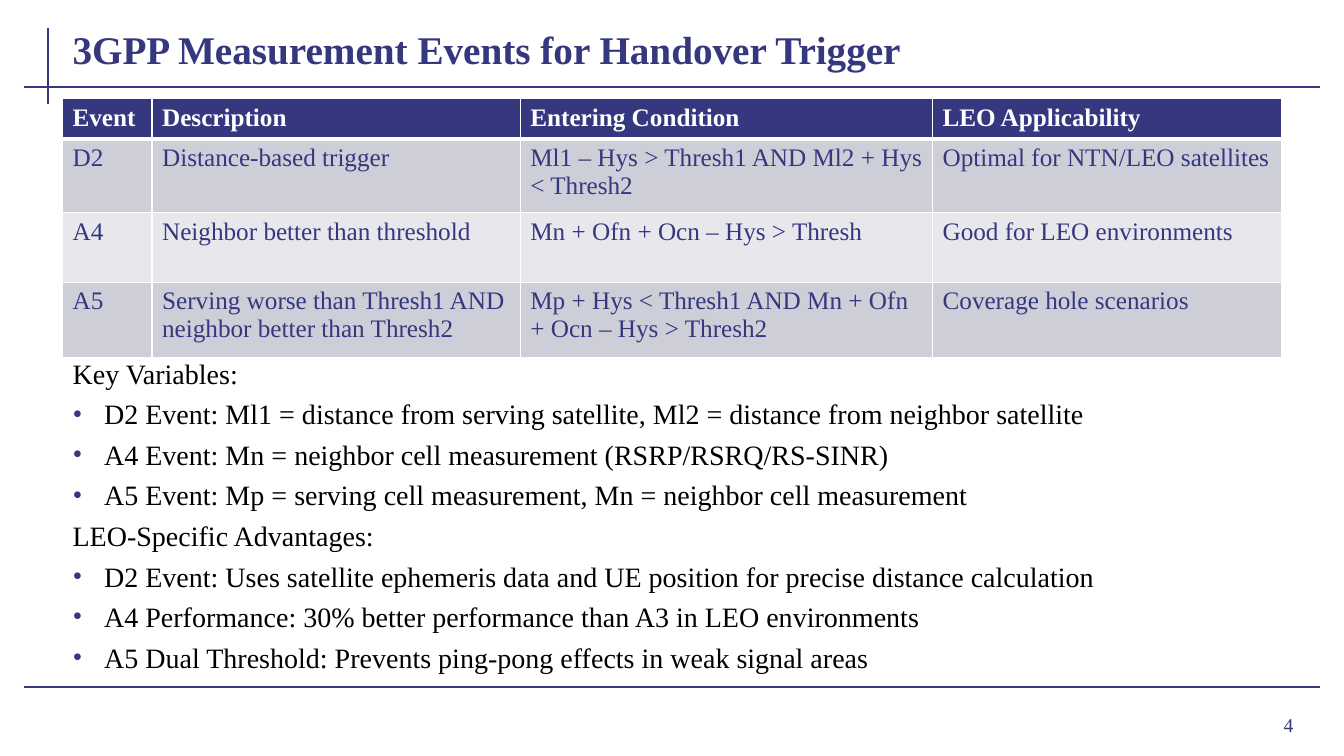
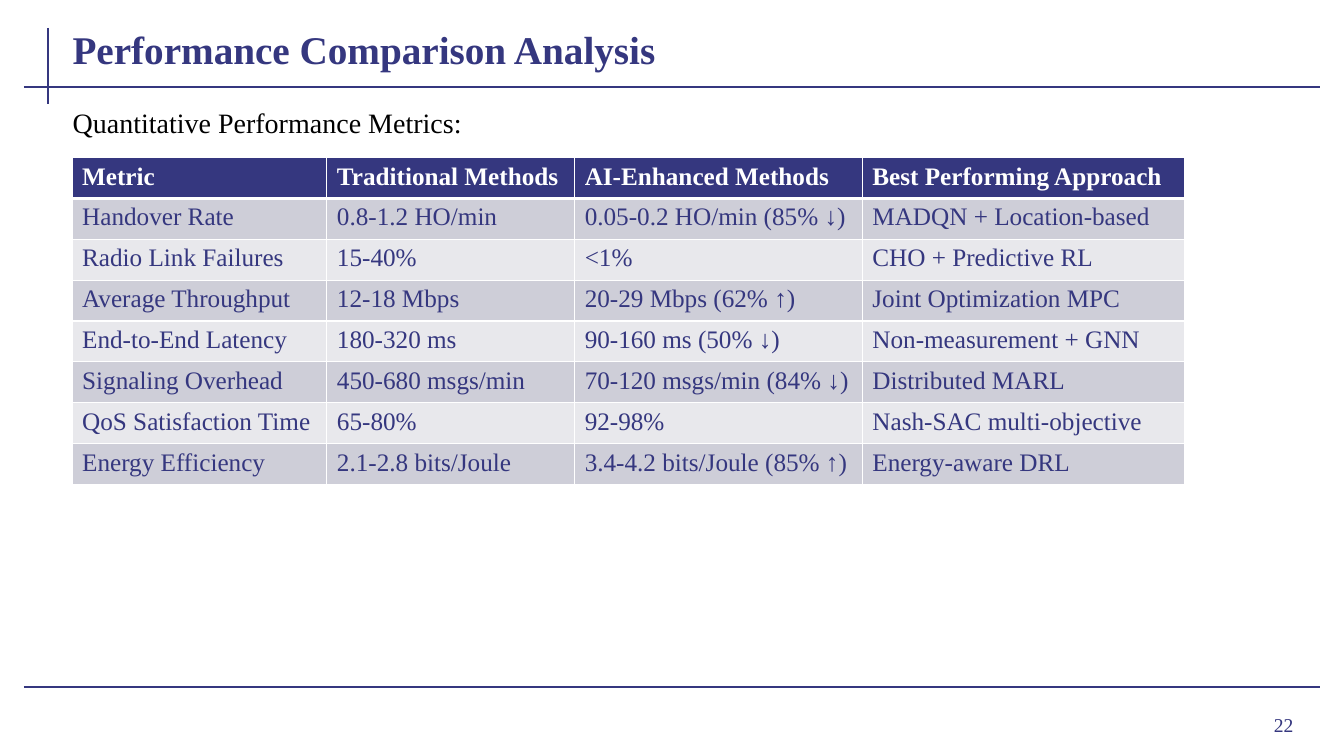
"""Builds two slides on handover events and performance in a ruled navy template."""
from lxml import etree
from pptx import Presentation
from pptx.dml.color import RGBColor
from pptx.enum import shapes, text
from pptx.oxml import ns
from pptx.util import Pt

COLORS = {"navy": "35377F", "white": "FFFFFF", "black": "000000",
          "band_dark": "CECED8", "band_light": "E8E8EC"}
FONT = "Times New Roman"
LEFT, WIDTH = 44.64, 899.28
BULLET_INDENT = 22.5
FRAME_LINES = [(34, 20, 34, 74), (17, 62, 943, 62), (17, 491, 943, 491)]

EVENT_ROWS = [
    ("Event", "Description", "Entering Condition", "LEO Applicability"),
    ("D2", "Distance-based trigger", "Ml1 – Hys > Thresh1 AND Ml2 + Hys < Thresh2",
     "Optimal for NTN/LEO satellites"),
    ("A4", "Neighbor better than threshold", "Mn + Ofn + Ocn – Hys > Thresh",
     "Good for LEO environments"),
    ("A5", "Serving worse than Thresh1 AND neighbor better than Thresh2",
     "Mp + Hys < Thresh1 AND Mn + Ofn + Ocn – Hys > Thresh2", "Coverage hole scenarios"),
]
EVENT_NOTES = [
    ("Key Variables:", False),
    ("D2 Event: Ml1 = distance from serving satellite, "
     "Ml2 = distance from neighbor satellite", True),
    ("A4 Event: Mn = neighbor cell measurement (RSRP/RSRQ/RS-SINR)", True),
    ("A5 Event: Mp = serving cell measurement, Mn = neighbor cell measurement", True),
    ("LEO-Specific Advantages:", False),
    ("D2 Event: Uses satellite ephemeris data and UE position "
     "for precise distance calculation", True),
    ("A4 Performance: 30% better performance than A3 in LEO environments", True),
    ("A5 Dual Threshold: Prevents ping-pong effects in weak signal areas", True),
]
METRIC_ROWS = [
    ("Metric", "Traditional Methods", "AI-Enhanced Methods", "Best Performing Approach"),
    ("Handover Rate", "0.8-1.2 HO/min", "0.05-0.2 HO/min (85% ↓)", "MADQN + Location-based"),
    ("Radio Link Failures", "15-40%", "<1%", "CHO + Predictive RL"),
    ("Average Throughput", "12-18 Mbps", "20-29 Mbps (62% ↑)", "Joint Optimization MPC"),
    ("End-to-End Latency", "180-320 ms", "90-160 ms (50% ↓)", "Non-measurement + GNN"),
    ("Signaling Overhead", "450-680 msgs/min", "70-120 msgs/min (84% ↓)", "Distributed MARL"),
    ("QoS Satisfaction Time", "65-80%", "92-98%", "Nash-SAC multi-objective"),
    ("Energy Efficiency", "2.1-2.8 bits/Joule", "3.4-4.2 bits/Joule (85% ↑)",
     "Energy-aware DRL"),
]


def rgb(name):
    """Return the named palette colour."""
    return RGBColor.from_string(COLORS[name])


def add_element(parent, tag, **attributes):
    """Append a DrawingML child element and return it."""
    return etree.SubElement(parent, ns.qn(tag), attributes)


def style_runs(paragraph, size, color, bold=False):
    """Format every run of a paragraph."""
    for run in paragraph.runs:
        run.font.name, run.font.size, run.font.bold = FONT, Pt(size), bold
        run.font.color.rgb = rgb(color)


def place(shape, left, top, width, height):
    """Move and size a shape, in points."""
    shape.left, shape.top = Pt(left), Pt(top)
    shape.width, shape.height = Pt(width), Pt(height)


def add_frame_lines(slide, layout):
    """Draw the frame lines and hand them to the shared layout."""
    for number, ends in enumerate(FRAME_LINES, start=1):
        connector = slide.shapes.add_connector(
            shapes.MSO_CONNECTOR.STRAIGHT, *(Pt(value) for value in ends))
        connector.line.color.rgb = rgb("navy")
        connector.line.width = Pt(1.5)
        connector.name = f"Frame line {number}"
        add_element(connector.element.spPr, "a:effectLst")
        connector.element.xpath(".//p:cNvPr")[0].set("id", str(100 + number))
        layout.shapes.element.append(connector.element)


def add_page(presentation, layout, title, number):
    """Add a slide with its title and page number."""
    slide = presentation.slides.add_slide(layout)
    frame = slide.shapes.title.text_frame
    frame.text = title
    frame.auto_size = text.MSO_AUTO_SIZE.NONE
    frame.vertical_anchor = text.MSO_ANCHOR.BOTTOM
    frame.paragraphs[0].alignment = text.PP_ALIGN.LEFT
    style_runs(frame.paragraphs[0], 28, "navy", True)

    frame = slide.shapes.add_textbox(Pt(861), Pt(499), Pt(70), Pt(37.5)).text_frame
    frame.word_wrap = True
    frame.vertical_anchor = text.MSO_ANCHOR.MIDDLE
    frame.text = str(number)
    frame.paragraphs[0].alignment = text.PP_ALIGN.RIGHT
    style_runs(frame.paragraphs[0], 14, "navy")
    return slide


def fill_body(slide, top, height, items):
    """Write plain and bulleted paragraphs into the body placeholder."""
    body = slide.placeholders[1]
    place(body, LEFT, top, WIDTH, height)
    frame = body.text_frame
    frame.auto_size = text.MSO_AUTO_SIZE.NONE
    for index, (content, bulleted) in enumerate(items):
        paragraph = frame.add_paragraph() if index else frame.paragraphs[0]
        paragraph.text = content
        properties = paragraph._p.get_or_add_pPr()
        indent = Pt(BULLET_INDENT) if bulleted else 0
        properties.set("marL", str(indent))
        properties.set("indent", str(-indent))
        if bulleted:
            add_element(add_element(properties, "a:buClr"), "a:srgbClr", val=COLORS["navy"])
            add_element(properties, "a:buFont", typeface=FONT)
            add_element(properties, "a:buChar", char="•")
        else:
            add_element(properties, "a:buNone")
        paragraph.space_before = Pt(5 if index else 0)
        style_runs(paragraph, 20, "black")


def set_borders(cell, top, bottom):
    """Give a cell white borders, with its own top and bottom widths."""
    properties = cell._tc.get_or_add_tcPr()
    for side, width in (("L", 1), ("R", 1), ("T", top), ("B", bottom)):
        line = add_element(properties, f"a:ln{side}", w=str(Pt(width)))
        add_element(add_element(line, "a:solidFill"), "a:srgbClr", val=COLORS["white"])


def add_banded_table(slide, left, top, widths, heights, rows):
    """Add a table with a navy header and alternating grey rows."""
    table = slide.shapes.add_table(
        len(rows), len(widths), Pt(left), Pt(top), Pt(sum(widths)), Pt(sum(heights))).table
    for column, width in zip(table.columns, widths):
        column.width = Pt(width)
    for index, (row, height, values) in enumerate(zip(table.rows, heights, rows)):
        row.height = Pt(height)
        header = index == 0
        fill = "navy" if header else ("band_light", "band_dark")[index % 2]
        for cell, value in zip(row.cells, values):
            set_borders(cell, 3 if index == 1 else 1, 3 if header else 1)
            cell.fill.solid()
            cell.fill.fore_color.rgb = rgb(fill)
            cell.text_frame.text = value
            style_runs(cell.text_frame.paragraphs[0], 18,
                       "white" if header else "navy", header)


def main():
    """Build and save the presentation."""
    presentation = Presentation()
    presentation.slide_width, presentation.slide_height = Pt(960), Pt(540)
    layout = presentation.slide_layouts[1]
    place(layout.placeholders[0], LEFT, 10.8, WIDTH, 44.64)

    slide = add_page(presentation, layout, "3GPP Measurement Events for Handover Trigger", 4)
    add_frame_lines(slide, layout)
    fill_body(slide, 250.8, 240, EVENT_NOTES)
    add_banded_table(slide, LEFT, 70.4, [64, 263, 294.5, 249], [28.8, 52.6, 49.7, 54],
                     EVENT_ROWS)

    slide = add_page(presentation, layout, "Performance Comparison Analysis", 22)
    fill_body(slide, 72, 409, [("Quantitative Performance Metrics:", False)])
    add_banded_table(slide, 51.5, 112.5, [182, 177, 205.5, 230],
                     [29.2] * len(METRIC_ROWS), METRIC_ROWS)
    presentation.save("out.pptx")


if __name__ == "__main__":
    main()
